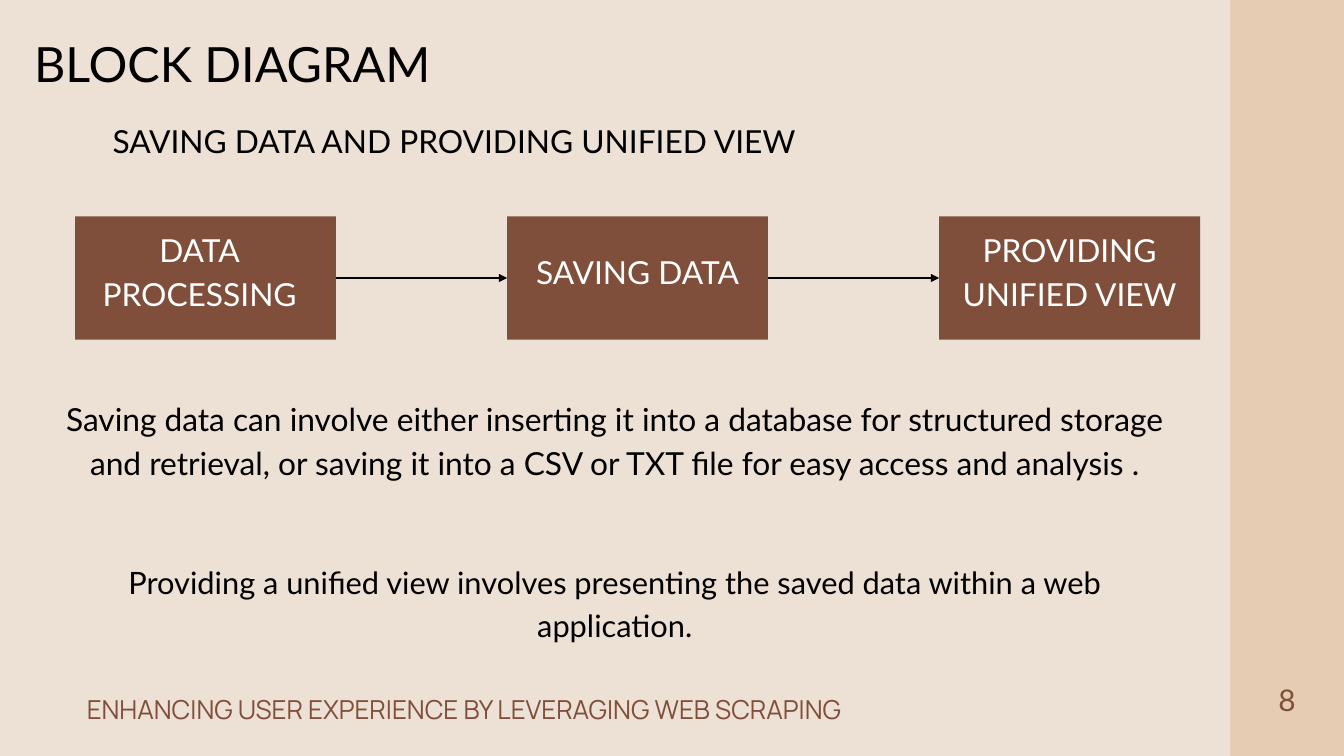
from lxml import etree
from pptx import Presentation
from pptx.dml.color import RGBColor
from pptx.enum.shapes import MSO_CONNECTOR, MSO_SHAPE
from pptx.enum.text import MSO_ANCHOR, PP_ALIGN
from pptx.oxml.ns import qn
from pptx.util import Cm, Pt

CREAM, SAND, BROWN = "EDE0D4", "E6CCB2", "804F3B"
BLACK, WHITE = "000000", "FFFFFF"
SLIDE_WIDTH, SLIDE_HEIGHT = 50.8, 28.58
LINE_FACTOR = 1.4


def color(hex_string):
    return RGBColor.from_string(hex_string)


def set_attributes(target, values):
    for name, value in values.items():
        setattr(target, name, value)


def write_lines(frame, lines, size, hex_color, font="Lato", align=PP_ALIGN.CENTER):
    """Write one paragraph per line, with exact line spacing."""
    frame.word_wrap = True
    for index, line in enumerate(lines):
        paragraph = frame.add_paragraph() if index else frame.paragraphs[0]
        paragraph.text = line
        set_attributes(paragraph, {
            "alignment": align, "line_spacing": Pt(round(size * LINE_FACTOR, 1)),
        })
        set_attributes(paragraph.font, {"size": Pt(size), "name": font})
        paragraph.font.color.rgb = color(hex_color)


def add_text(slide, box, text, size, hex_color=BLACK, **style):
    frame = slide.shapes.add_textbox(*map(Cm, box)).text_frame
    set_attributes(frame, {
        f"margin_{side}": 0 for side in ("left", "top", "right", "bottom")
    })
    write_lines(frame, [text], size, hex_color, **style)


def add_rectangle(slide, box, fill):
    shape = slide.shapes.add_shape(MSO_SHAPE.RECTANGLE, *map(Cm, box))
    shape.shadow.inherit = False
    shape.fill.solid()
    shape.fill.fore_color.rgb = color(fill)
    shape.line.fill.background()
    return shape


def add_arrow(slide, start, end):
    arrow = slide.shapes.add_connector(MSO_CONNECTOR.STRAIGHT, *map(Cm, start + end))
    arrow.line.width = Pt(3)
    arrow.line.color.rgb = color(BLACK)
    outline = arrow.line._get_or_add_ln()
    etree.SubElement(outline, qn("a:tailEnd"), type="triangle")
    etree.SubElement(arrow._element.spPr, qn("a:effectLst"))


def add_sidebar(slide, box, number):
    left, top, width, height = box
    add_rectangle(slide, box, SAND)
    add_text(slide, (left + 1.06, top + 25.55, 2.16, 1.5), number, 32, BROWN)


def add_headings(slide, box, title, subtitle):
    left, top, _, _ = box
    add_text(slide, (left, top, 15.52, 2.46), title, 52)
    add_text(slide, (left + 1.82, top + 3.46, 28.65, 1.6), subtitle, 34)


def add_flow(slide, box, steps, step_width=9.86):
    """Spread the steps evenly over the box and join them with arrows."""
    left, top, width, height = box
    pitch = (width - step_width) / (len(steps) - 1)
    middle = top + height / 2
    for index, (lines, right_margin) in enumerate(steps):
        x = left + index * pitch
        frame = add_rectangle(slide, (x, top, step_width, height), BROWN).text_frame
        set_attributes(frame, {
            "vertical_anchor": MSO_ANCHOR.MIDDLE,
            "margin_left": Cm(0.15), "margin_right": Cm(right_margin),
            "margin_top": Cm(0.15), "margin_bottom": Cm(0.84),
        })
        write_lines(frame, lines, 34, WHITE)
        if index:
            add_arrow(slide, (x - pitch + step_width, middle), (x, middle))


def add_explanations(slide, box, saving, viewing):
    left, top, width, _ = box
    add_text(slide, (left, top, width, 4.95), saving, 34)
    add_text(slide, (left, top + 6.2, width, 3.18), viewing, 33)


def main():
    presentation = Presentation()
    set_attributes(presentation, {
        "slide_width": Cm(SLIDE_WIDTH), "slide_height": Cm(SLIDE_HEIGHT),
    })
    slide = presentation.slides.add_slide(presentation.slide_layouts[6])
    slide.background.fill.solid()
    slide.background.fill.fore_color.rgb = color(CREAM)

    add_sidebar(slide, (46.51, 0, 4.29, SLIDE_HEIGHT), "8")
    add_headings(slide, (1.02, 0.91, 30.47, 5.06),
                 "BLOCK DIAGRAM", "SAVING DATA AND PROVIDING UNIFIED VIEW")
    add_flow(slide, (2.84, 8.18, 42.52, 4.66), [
        (["DATA", "PROCESSING"], 0.6),
        (["SAVING DATA"], 0.15),
        (["PROVIDING", "UNIFIED VIEW"], 0.15),
    ])
    add_explanations(
        slide, (1.98, 14.86, 42.52, 9.38),
        "Saving data can involve either inserting it into a database for structured "
        "storage and retrieval, or saving it into a CSV or TXT file for easy access "
        "and analysis .",
        "Providing a unified view involves presenting the saved data within a web "
        "application.",
    )
    add_text(slide, (3.28, 26.01, 31.8, 1.37),
             "ENHANCING USER EXPERIENCE BY LEVERAGING WEB SCRAPING", 28, BROWN,
             font="Manrope", align=PP_ALIGN.LEFT)
    presentation.save("out.pptx")


if __name__ == "__main__":
    main()
